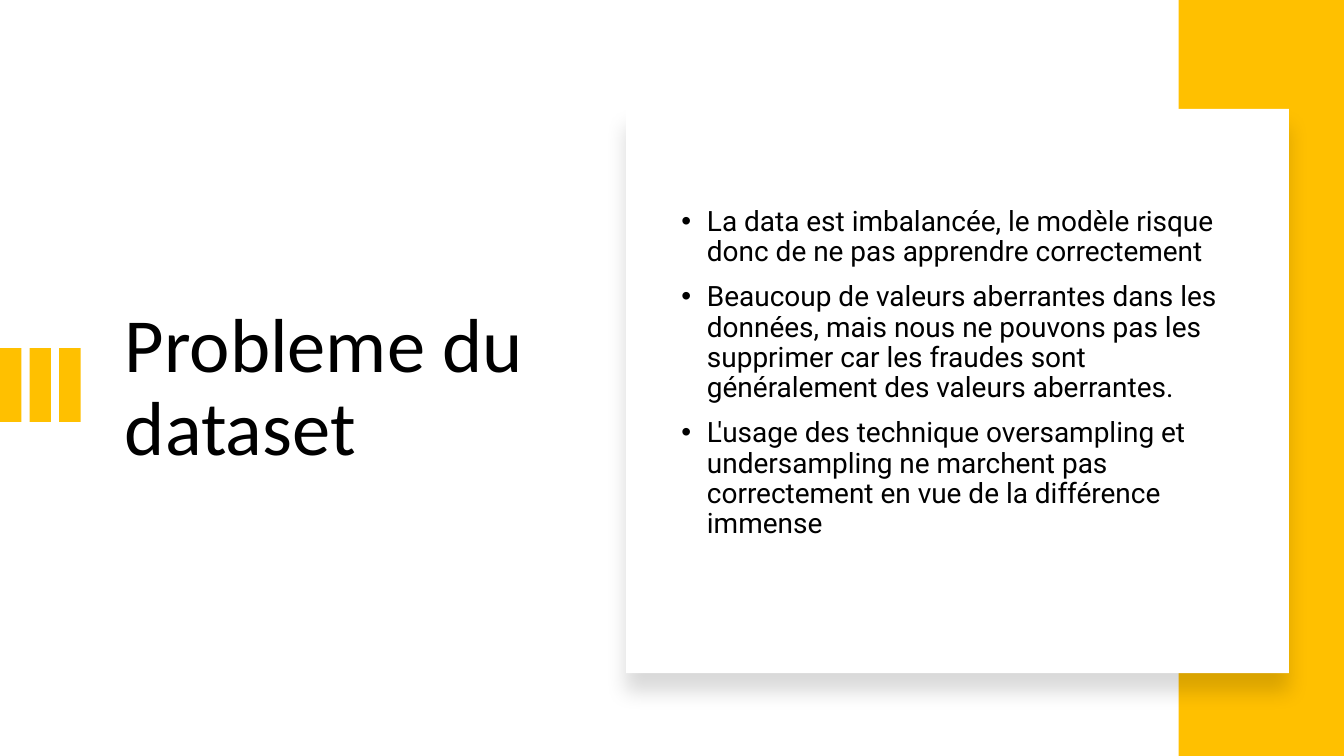
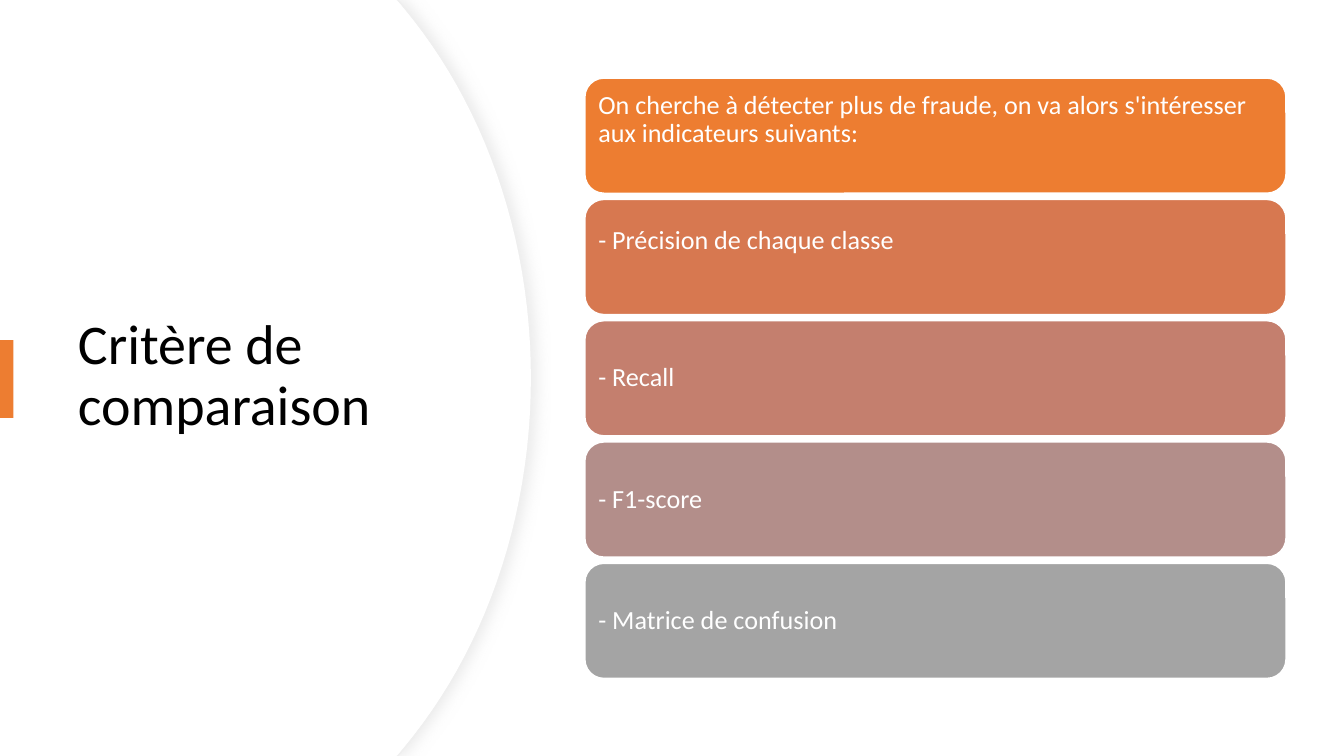
"""Build two slides on fraud detection: dataset problems and comparison criteria."""
from lxml import etree
from pptx import Presentation
from pptx import util as u
from pptx.dml.color import RGBColor
from pptx.enum import shapes, text
from pptx.oxml.ns import qn

WIDTH = 10
HEIGHT = WIDTH * 9 / 16
AMBER, ORANGE, WHITE, BLACK, EDGE = "FFC000", "ED7D31", "FFFFFF", "000000", "EFEFEF"
HEADING_FONT, LIST_FONT = "Calibri", "Roboto"
INSETS = (0.07, 0.04, 0.07, 0.04)
PANEL_SHADOW = ("000000", 15, 11, 10, 90)
CURVE_SHADOW = ("D8D8D8", 50, 7, 3, 0)

PROBLEMS = [
    "La data est imbalancée, le modèle risque donc de ne pas apprendre correctement",
    "Beaucoup de valeurs aberrantes dans les données, mais nous ne pouvons pas les "
    "supprimer car les fraudes sont généralement des valeurs aberrantes.",
    "L'usage des technique oversampling et undersampling ne marchent pas "
    "correctement en vue de la différence immense",
]
CRITERIA = [
    ("On cherche à détecter plus de fraude, on va alors s'intéresser "
     "aux indicateurs suivants:", ORANGE, 0.29),
    ("- Précision de chaque classe", "D77850", 0.29),
    ("- Recall", "C47F6E", 0.06),
    ("- F1-score", "B38E8A", 0.06),
    ("- Matrice de confusion", "A4A4A4", 0.06),
]


def colour(value):
    return RGBColor.from_string(value)


def child(parent, tag, **attributes):
    return etree.SubElement(parent, qn(tag), {k: str(v) for k, v in attributes.items()})


def place(shape, left, top, width, height):
    shape.left, shape.top, shape.width, shape.height = map(
        u.Inches, (left, top, width, height))


def paint(shape, fill, line=None, weight=1, shadow=None):
    shape.fill.solid()
    shape.fill.fore_color.rgb = colour(fill)
    if line:
        shape.line.color.rgb = colour(line)
        shape.line.width = u.Pt(weight)
    else:
        shape.line.fill.background()
    shape.shadow.inherit = False
    if shadow:
        tint, opacity, blur, distance, angle = shadow
        effects = shape._element.spPr.find(qn("a:effectLst"))
        outer = child(effects, "a:outerShdw", blurRad=u.Pt(blur), dist=u.Pt(distance),
                      dir=angle * 60000, algn="ctr", rotWithShape=0)
        child(child(outer, "a:srgbClr", val=tint), "a:alpha", val=opacity * 1000)
    return shape


def block(parent, box, fill, kind=shapes.MSO_SHAPE.RECTANGLE, **style):
    return paint(parent.add_shape(kind, *map(u.Inches, box)), fill, **style)


def write(shape, paragraphs, size, font=HEADING_FONT, ink=BLACK, insets=INSETS,
          bullet=None, gap=0):
    frame = shape.text_frame
    frame.word_wrap = True
    frame.auto_size = text.MSO_AUTO_SIZE.NONE
    frame.vertical_anchor = text.MSO_ANCHOR.MIDDLE
    (frame.margin_left, frame.margin_top,
     frame.margin_right, frame.margin_bottom) = map(u.Inches, insets)
    for i, words in enumerate(paragraphs):
        paragraph = frame.paragraphs[0] if i == 0 else frame.add_paragraph()
        if bullet:
            properties = paragraph._p.get_or_add_pPr()
            properties.set("marL", str(u.Inches(0.19)))
            properties.set("indent", str(u.Inches(-0.19)))
            child(child(properties, "a:buClr"), "a:srgbClr", val=ink)
            child(properties, "a:buFont", typeface="Arial")
            child(properties, "a:buChar", char=bullet)
        paragraph.alignment = text.PP_ALIGN.LEFT
        paragraph.line_spacing = 0.9
        paragraph.space_before = u.Pt(gap if i else 0)
        run = paragraph.add_run()
        run.text = words
        run.font.size, run.font.name = u.Pt(size), font
        run.font.color.rgb = colour(ink)


def fill_placeholder(slide, placeholder, box, paragraphs, size, **style):
    slide.shapes._spTree.append(placeholder._element)
    place(placeholder, *box)
    write(placeholder, paragraphs, size, **style)


def bezier(a, b, c, d, steps=24):
    for i in range(1, steps + 1):
        t = i / steps
        s = 1 - t
        yield tuple(s**3 * p + 3 * s * s * t * q + 3 * s * t * t * r + t**3 * e
                    for p, q, r, e in zip(a, b, c, d))


def curved_panel(slide, corner, **style):
    bulge = 3.95
    upper = [(corner, 0), (corner + 0.05, 0.06)]
    upper += bezier(upper[-1], (3.59, 0.76), (bulge, 1.74), (bulge, HEIGHT / 2))
    lower = [(x, HEIGHT - y) for x, y in reversed(upper[:-1])]
    outline = slide.shapes.build_freeform(0, 0)
    outline.add_line_segments(
        [(u.Inches(x), u.Inches(y)) for x, y in upper + lower + [(0, HEIGHT)]])
    paint(outline.convert_to_shape(), WHITE, **style)


def dataset_slide(deck):
    slide = deck.slides.add_slide(deck.slide_layouts[1])
    bars = slide.shapes.add_group_shape().shapes
    for i in range(3):
        block(bars, (0.22 * i, 2.59, 0.16, 0.55), AMBER)
    block(slide.shapes, (8.77, 0, 1.23, HEIGHT), AMBER)
    block(slide.shapes, (4.66, 0.81, 4.93, 4.2), WHITE, shadow=PANEL_SHADOW)
    fill_placeholder(slide, slide.shapes.title, (0.86, 1.1, 3.19, 3.59),
                     ["Probleme du dataset"], 41)
    fill_placeholder(slide, slide.placeholders[1], (5, 1.1, 4.32, 3.59), PROBLEMS, 15,
                     font=LIST_FONT, bullet="•", gap=8, insets=(0.07, 0.04, 0.07, 0.27))


def criteria_slide(deck):
    slide = deck.slides.add_slide(deck.slide_layouts[5])
    curved_panel(slide, 2.96, line=EDGE, weight=0.75, shadow=CURVE_SHADOW)
    curved_panel(slide, 2.95)
    fill_placeholder(slide, slide.shapes.title, (0.51, 0.95, 2.96, 3.71),
                     ["Critère de comparaison"], 30)
    block(slide.shapes, (0, 2.53, 0.1, 0.58), ORANGE)
    cards = slide.shapes.add_group_shape().shapes
    first, last = 0.58, 4.19
    pitch = (last - first) / (len(CRITERIA) - 1)
    for i, (criterion, fill, bottom) in enumerate(CRITERIA):
        card = block(cards, (4.35, first + pitch * i, 5.22, 0.86), fill,
                     kind=shapes.MSO_SHAPE.ROUNDED_RECTANGLE, line=WHITE)
        write(card, [criterion], 14, ink=WHITE, insets=(0.06, 0.06, 0.06, bottom))


def main():
    deck = Presentation()
    deck.slide_width, deck.slide_height = u.Inches(WIDTH), u.Inches(HEIGHT)
    dataset_slide(deck)
    criteria_slide(deck)
    deck.save("out.pptx")


if __name__ == "__main__":
    main()
